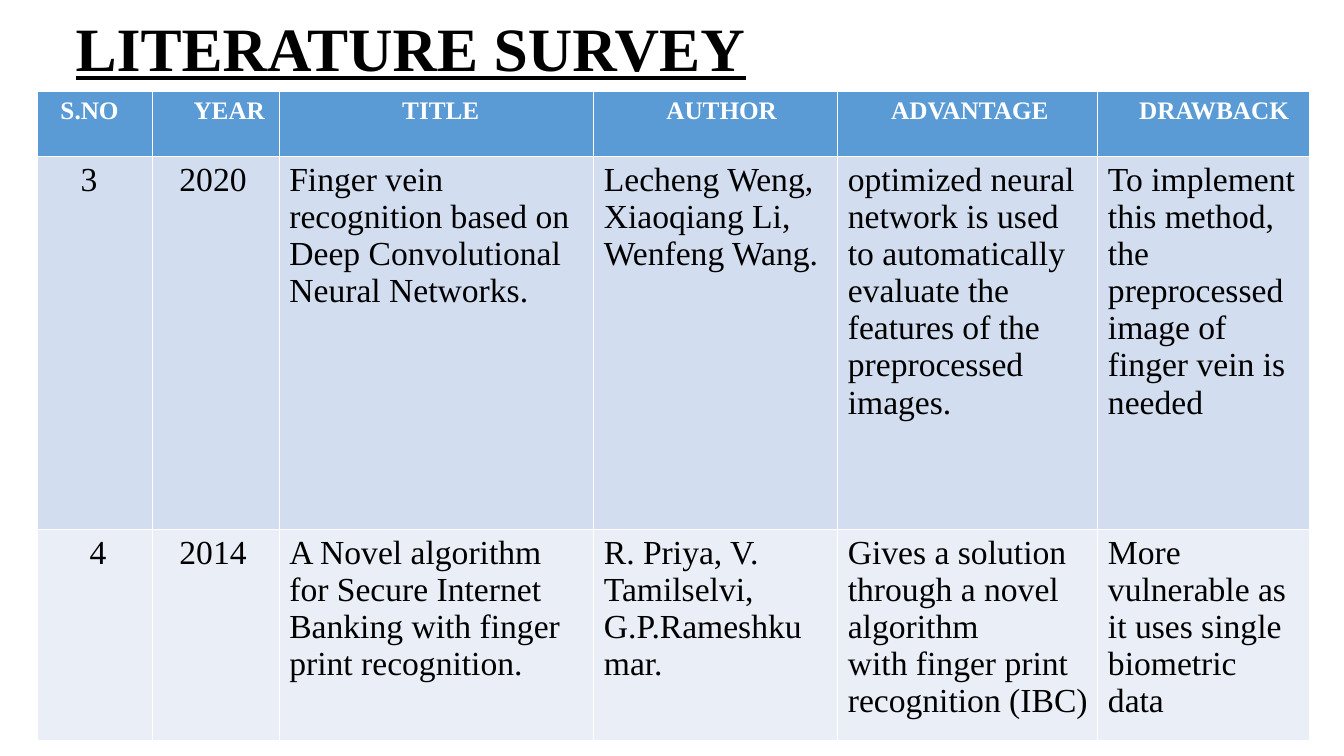
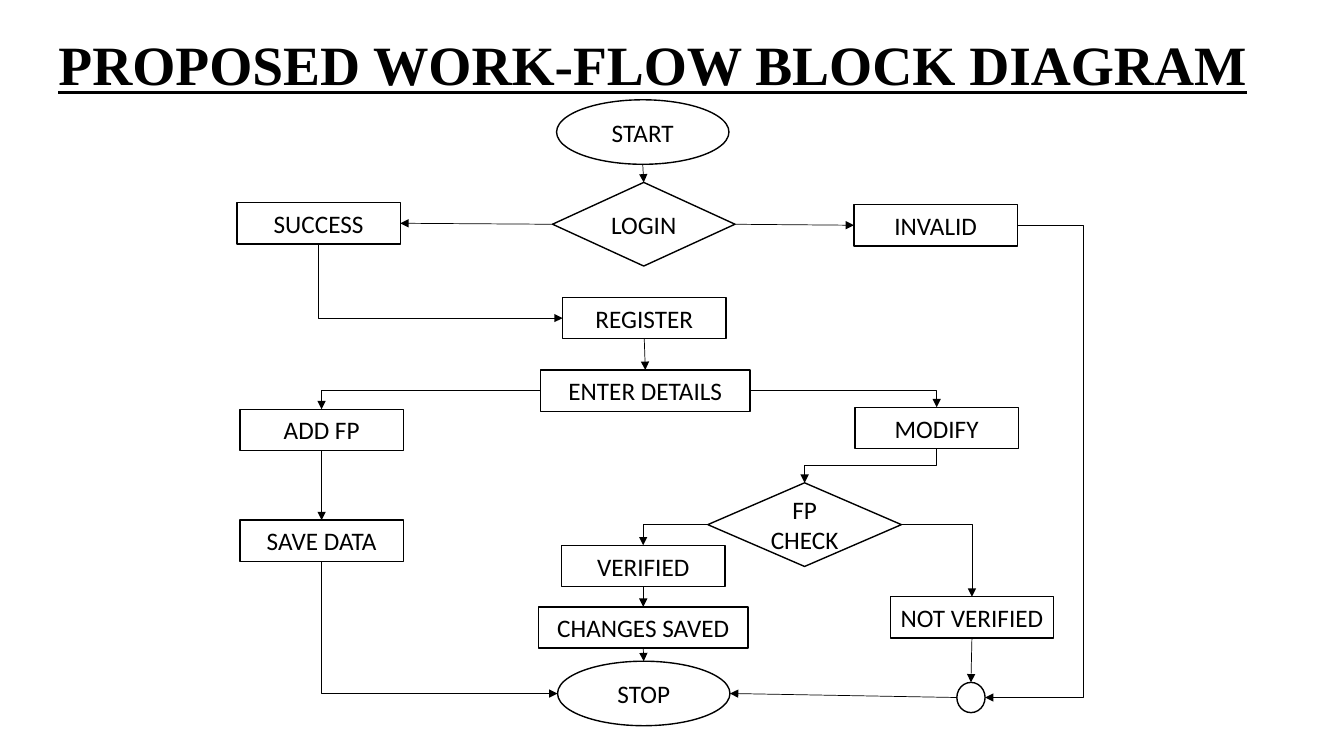
"""Build the literature survey table and the work-flow diagram slides."""
from dataclasses import dataclass

from lxml.etree import SubElement
from pptx import Presentation
from pptx.dml.color import RGBColor as Rgb
from pptx.enum.shapes import MSO_CONNECTOR as Link, MSO_SHAPE as Shape
from pptx.enum.text import MSO_ANCHOR as Anchor, PP_ALIGN as Align
from pptx.oxml.ns import qn
from pptx.util import Inches, Pt


@dataclass(frozen=True)
class Theme:
    """Colours, fonts and sizes used on both slides."""
    black: Rgb = Rgb(0, 0, 0)
    white: Rgb = Rgb(255, 255, 255)
    header: Rgb = Rgb(0x5B, 0x9B, 0xD5)
    bands: tuple = (Rgb(0xD2, 0xDE, 0xEF), Rgb(0xEA, 0xEF, 0xF7))
    serif: str = "Times New Roman"
    sans: str = "Calibri"
    label_size: float = 18
    body_size: float = 24
    outline: float = 1
    arrow: float = 0.5


THEME = Theme()
INSET = 0.1
COLUMNS = (1.14, 1.26, 3.12, 2.42, 2.58, 2.1)
ROWS = (0.64, 3.7, 2.1)
HEADINGS = ("S.NO", "YEAR", "TITLE", "AUTHOR", "ADVANTAGE", "DRAWBACK")
HEADING_INDENTS = (0.13, 0.31, 1.12, 0.62, 0.43, 0.31)
PAPERS = (
    ("3", "2020",
     "Finger vein recognition based on Deep Convolutional Neural Networks.",
     "Lecheng Weng, Xiaoqiang Li, Wenfeng Wang.",
     "optimized neural network is used to automatically evaluate the "
     "features of the preprocessed images.",
     "To implement this method, the preprocessed image of finger vein is needed"),
    ("4", "2014",
     "A Novel algorithm for Secure Internet Banking with finger print recognition.",
     "R. Priya, V. Tamilselvi, G.P.Rameshkumar.",
     "Gives a solution through a novel algorithm\n"
     "with finger print recognition (IBC)",
     "More vulnerable as it uses single biometric data"),
)
PAPER_INDENTS = ((0.33, 0.17, 0, 0, 0, 0), (0.42, 0.17, 0, 0, 0, 0))

STEP, WIDE_STEP, TERMINAL = (1.62, 0.41), (2.08, 0.41), (1.71, 0.64)
JUNCTION = ""
NODES = {
    "START": (Shape.OVAL, 5.52, 0.99, TERMINAL),
    "LOGIN": (Shape.DIAMOND, 5.48, 1.81, (1.81, 0.83)),
    "SUCCESS": (Shape.RECTANGLE, 2.35, 2.01, STEP),
    "INVALID": (Shape.RECTANGLE, 8.47, 2.03, STEP),
    "REGISTER": (Shape.RECTANGLE, 5.58, 2.95, STEP),
    "ENTER DETAILS": (Shape.RECTANGLE, 5.36, 3.67, WIDE_STEP),
    "ADD FP": (Shape.RECTANGLE, 2.38, 4.06, STEP),
    "SAVE DATA": (Shape.RECTANGLE, 2.38, 5.16, STEP),
    "MODIFY": (Shape.RECTANGLE, 8.48, 4.04, STEP),
    "FP CHECK": (Shape.DIAMOND, 7.02, 4.79, (1.92, 0.83)),
    "VERIFIED": (Shape.RECTANGLE, 5.57, 5.41, STEP),
    "CHANGES SAVED": (Shape.RECTANGLE, 5.34, 6.02, WIDE_STEP),
    "NOT VERIFIED": (Shape.RECTANGLE, 8.83, 5.92, STEP),
    "STOP": (Shape.OVAL, 5.53, 6.56, TERMINAL),
    JUNCTION: (Shape.FLOWCHART_CONNECTOR, 9.49, 6.77, (0.28, 0.3)),
}
SIDES = {"top": (0.5, 0), "left": (0, 0.5), "bottom": (0.5, 1), "right": (1, 0.5)}
ROUND = (Shape.OVAL, Shape.FLOWCHART_CONNECTOR)
STRAIGHT, CORNER, ZIGZAG = "line", "bentConnector2", "bentConnector3"
DETOUR = -206200
FLOWS = (
    ("START", "bottom", "LOGIN", "top", STRAIGHT),
    ("LOGIN", "left", "SUCCESS", "right", STRAIGHT),
    ("LOGIN", "right", "INVALID", "left", STRAIGHT),
    ("SUCCESS", "bottom", "REGISTER", "left", CORNER),
    ("REGISTER", "bottom", "ENTER DETAILS", "top", STRAIGHT),
    ("ENTER DETAILS", "left", "ADD FP", "top", CORNER),
    ("ENTER DETAILS", "right", "MODIFY", "top", CORNER),
    ("ADD FP", "bottom", "SAVE DATA", "top", STRAIGHT),
    ("MODIFY", "bottom", "FP CHECK", "top", ZIGZAG),
    ("FP CHECK", "left", "VERIFIED", "top", CORNER),
    ("FP CHECK", "right", "NOT VERIFIED", "top", CORNER),
    ("VERIFIED", "bottom", "CHANGES SAVED", "top", STRAIGHT),
    ("CHANGES SAVED", "bottom", "STOP", "top", STRAIGHT),
    ("SAVE DATA", "bottom", "STOP", "left", CORNER),
    ("NOT VERIFIED", "bottom", JUNCTION, "top", STRAIGHT),
    ("INVALID", "right", JUNCTION, "right", ZIGZAG),
    (JUNCTION, "left", "STOP", "right", STRAIGHT),
)


def apply_format(target, values):
    """Set each named attribute of the target."""
    for name, value in values.items():
        setattr(target, name, value)


def write_text(frame, text, color, font, paragraph=None):
    """Fill a text frame and format its paragraphs and runs."""
    frame.text = text
    for line in frame.paragraphs:
        apply_format(line, paragraph or {})
        for run in line.runs:
            apply_format(run.font, font)
            run.font.color.rgb = color


def add_titled_slide(deck, title, box, size):
    """Add a title-only slide with an underlined heading."""
    slide = deck.slides.add_slide(deck.slide_layouts[5])
    heading = slide.shapes.title
    apply_format(heading, dict(zip(("left", "top", "width", "height"), map(Inches, box))))
    apply_format(heading.text_frame, {"word_wrap": True, "vertical_anchor": Anchor.MIDDLE})
    write_text(heading.text_frame, title, THEME.black,
               {"name": THEME.serif, "size": Pt(size), "bold": True, "underline": True},
               {"alignment": Align.LEFT, "line_spacing": 0.9})
    return slide


def fill_row(row, texts, indents, fill, color, size, bold):
    """Write one table row with its fill and per-cell indents."""
    for cell, text, indent in zip(row.cells, texts, indents):
        cell.margin_left = Inches(INSET + indent)
        cell.fill.solid()
        cell.fill.fore_color.rgb = fill
        write_text(cell.text_frame, text, color,
                   {"name": THEME.serif, "size": Pt(size), "bold": bold})


def add_survey(slide):
    """Add the table of surveyed papers."""
    survey = slide.shapes.add_table(
        len(ROWS), len(COLUMNS), Inches(0.37), Inches(0.91),
        Inches(sum(COLUMNS)), Inches(sum(ROWS))).table
    for column, width in zip(survey.columns, COLUMNS):
        column.width = Inches(width)
    for row, height in zip(survey.rows, ROWS):
        row.height = Inches(height)
    fill_row(survey.rows[0], HEADINGS, HEADING_INDENTS,
             THEME.header, THEME.white, THEME.label_size, True)
    for number, paper in enumerate(PAPERS):
        fill_row(survey.rows[number + 1], paper, PAPER_INDENTS[number],
                 THEME.bands[number], THEME.black, THEME.body_size, False)


def add_node(slide, label, kind, left, top, size):
    """Add one outlined step of the flow."""
    node = slide.shapes.add_shape(kind, *map(Inches, (left, top, *size)))
    node.shadow.inherit = False
    node.fill.solid()
    node.fill.fore_color.rgb = THEME.white
    node.line.color.rgb = THEME.black
    node.line.width = Pt(THEME.outline)
    if label:
        apply_format(node.text_frame, {"word_wrap": True, "vertical_anchor": Anchor.MIDDLE})
        write_text(node.text_frame, label, THEME.black,
                   {"name": THEME.sans, "size": Pt(THEME.label_size)},
                   {"alignment": Align.CENTER})
    return node


def side_point(node, side):
    """Return the middle of one side of a node."""
    across, down = SIDES[side]
    return int(node.left + node.width * across), int(node.top + node.height * down)


def glue(flow, tag, node, side):
    """Attach one end of a flow to a side of a node."""
    site = list(SIDES).index(side) * (2 if node.auto_shape_type in ROUND else 1)
    SubElement(flow._element.nvCxnSpPr.cNvCxnSpPr, qn(tag),
               id=str(node.shape_id), idx=str(site))


def turn_downward(flow, start, end):
    """Rotate an elbow so that it leaves its start vertically."""
    (x1, y1), (x2, y2) = start, end
    width, height = abs(y2 - y1), abs(x2 - x1)
    apply_format(flow, {"left": (x1 + x2 - width) // 2, "top": (y1 + y2 - height) // 2,
                        "width": width, "height": height})
    frame = flow._element.spPr.find(qn("a:xfrm"))
    for name, value in {"rot": "5400000", "flipH": "0",
                        "flipV": "1" if x2 > x1 else "0"}.items():
        frame.set(name, value)


def add_flow(slide, nodes, source, exit_side, target, entry_side, route):
    """Join two nodes with an arrow."""
    start = side_point(nodes[source], exit_side)
    end = side_point(nodes[target], entry_side)
    kind = Link.STRAIGHT if route == STRAIGHT else Link.ELBOW
    flow = slide.shapes.add_connector(kind, *start, *end)
    glue(flow, "a:stCxn", nodes[source], exit_side)
    glue(flow, "a:endCxn", nodes[target], entry_side)
    flow.line.color.rgb = THEME.black
    flow.line.width = Pt(THEME.arrow)
    properties = flow._element.spPr
    SubElement(properties.find(qn("a:ln")), qn("a:tailEnd"), type="triangle")
    SubElement(properties, qn("a:effectLst"))
    if route == STRAIGHT:
        return
    geometry = properties.find(qn("a:prstGeom"))
    geometry.set("prst", route)
    if exit_side == "bottom":
        turn_downward(flow, start, end)
    if exit_side == entry_side:
        SubElement(geometry.find(qn("a:avLst")), qn("a:gd"),
                   name="adj1", fmla=f"val {DETOUR}")


def main():
    """Build and save both slides."""
    deck = Presentation()
    apply_format(deck, {"slide_width": Inches(13.33), "slide_height": Inches(7.5)})
    add_survey(add_titled_slide(deck, "LITERATURE SURVEY", (0.65, 0.15, 12.18, 0.72), 44))
    diagram = add_titled_slide(deck, "PROPOSED WORK-FLOW BLOCK DIAGRAM",
                               (0.48, 0.18, 12.27, 0.99), 39.6)
    nodes = {label: add_node(diagram, label, *place) for label, place in NODES.items()}
    for flow in FLOWS:
        add_flow(diagram, nodes, *flow)
    deck.save("out.pptx")


if __name__ == "__main__":
    main()
